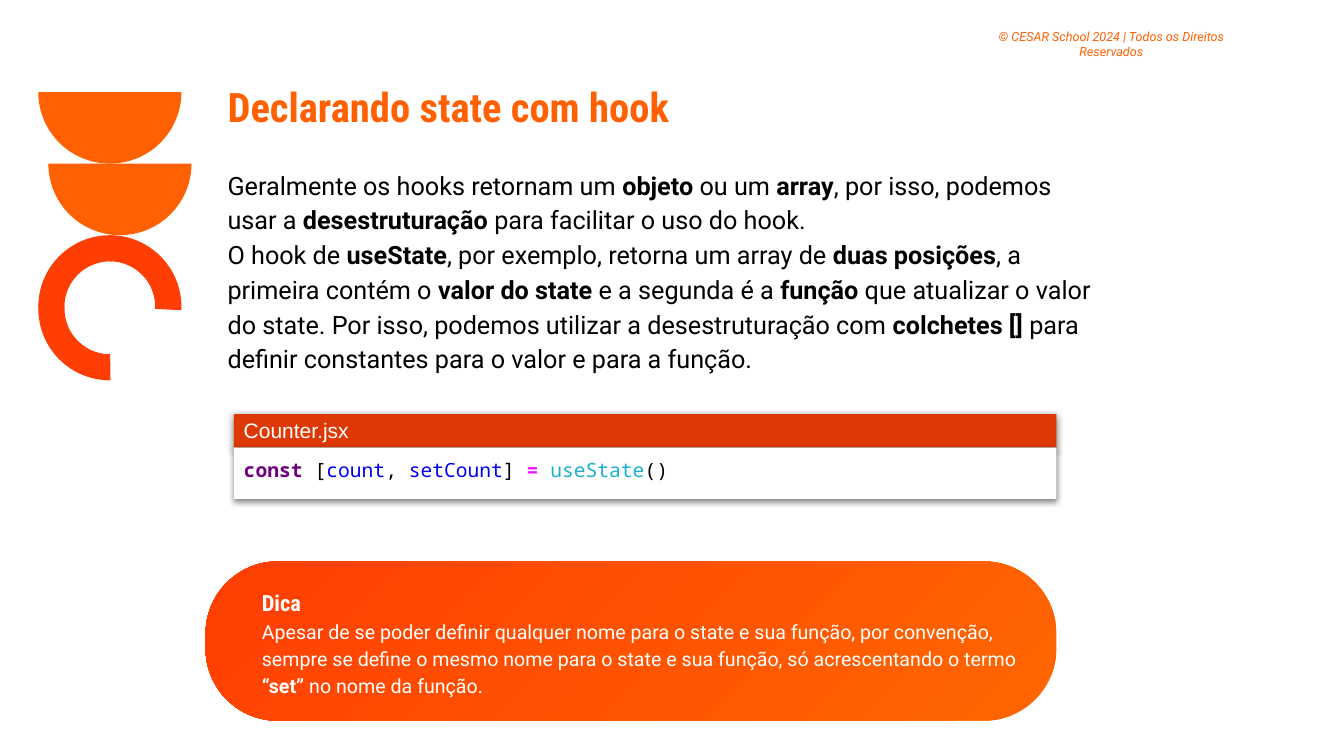
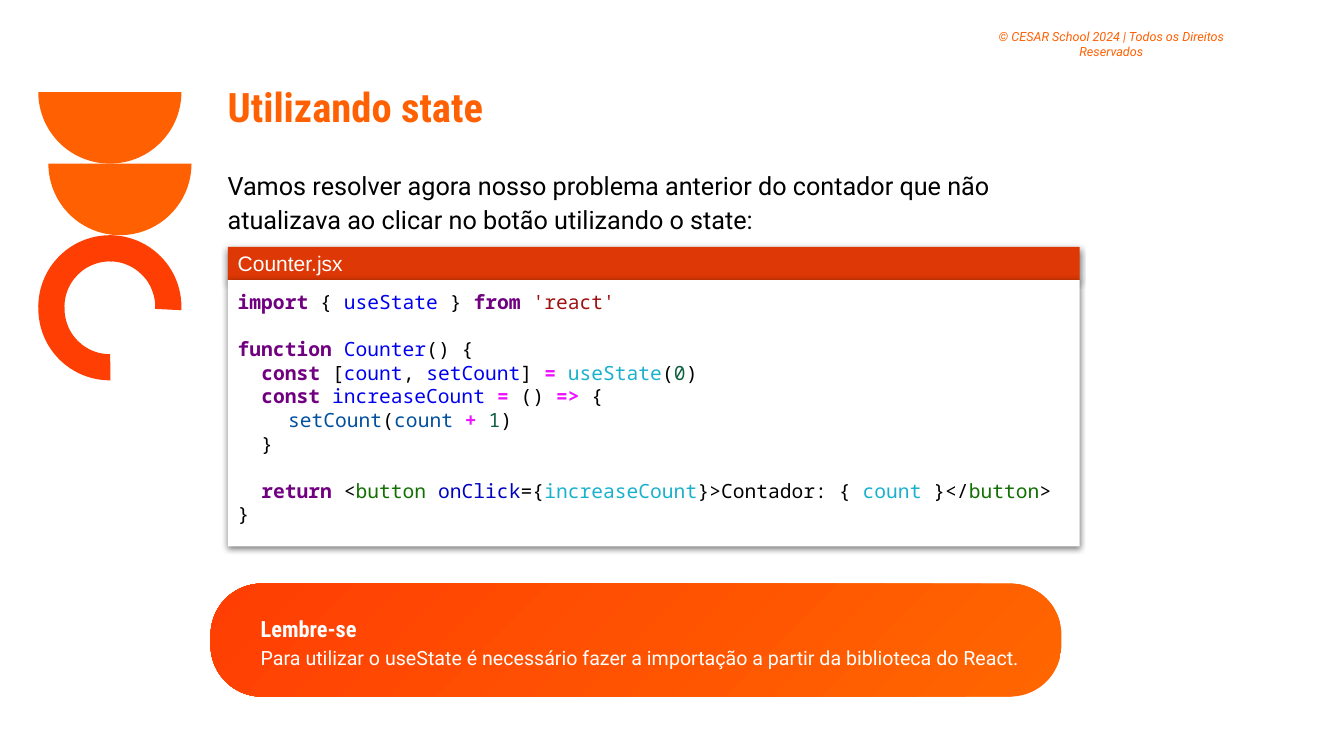
from collections import namedtuple
from dataclasses import dataclass
from math import cos, pi, sin

from lxml.etree import SubElement
from pptx import Presentation
from pptx.dml.color import RGBColor as Rgb
from pptx.enum.shapes import MSO_SHAPE as Kind
from pptx.enum.text import MSO_ANCHOR as Anchor, PP_ALIGN as Align
from pptx.oxml.ns import qn
from pptx.util import Emu, Inches, Pt

WIDTH, HEIGHT = Emu(12192000), Emu(6858000)
COLS = 80
CELL = WIDTH // COLS

Box = namedtuple("Box", "x y w h")


@dataclass(frozen=True)
class Theme:
    """Colours, fonts and type sizes of the deck."""
    orange: str = "FF6002"
    red: str = "FF3E03"
    glow: str = "FF6600"
    bar: str = "DD3805"
    white: str = "FFFFFF"
    black: str = "000000"
    head: str = "Roboto Condensed"
    text: str = "Roboto"
    label: str = "Arial"
    mono: str = "Noto Sans Mono"
    title: int = 29
    body: int = 18
    lead: int = 16
    file: int = 15
    small: int = 14
    legal: int = 9
    loose: float = 1.15
    blank: float = 16.8


T = Theme()

INK = {"key": "700080", "op": "EE11FF", "def": "0000F0", "use": "1AB1CD",
       "var": "0050A0", "num": "106040", "str": "A01010", "tag": "107000",
       "attr": "0000C0", "": T.black}
STRONG = ("key", "op")


def place(box):
    """Turn a box in grid cells into slide lengths."""
    return [Emu(round(v * CELL)) for v in box]


def paint(shape, tint):
    """Give a shape a plain fill with no line or shadow."""
    shape.shadow.inherit = False
    shape.line.fill.background()
    shape.fill.solid()
    shape.fill.fore_color.rgb = Rgb.from_string(tint)
    return shape


def shade(shape):
    """Drop a soft shadow below a shape."""
    list_ = shape._element.spPr.find(qn("a:effectLst"))
    drop = SubElement(list_, qn("a:outerShdw"), blurRad=str(Pt(4.5)),
                      dist=str(Pt(1.5)), dir="5400000", algn="bl", rotWithShape="0")
    ink = SubElement(drop, qn("a:srgbClr"), val=T.black)
    SubElement(ink, qn("a:alpha"), val="50000")


def frame(shape, side=0.1, rise=0.1, anchor=Anchor.TOP):
    """Set wrapping, insets and anchor, and return the text frame."""
    tf = shape.text_frame
    tf.word_wrap = True
    tf.vertical_anchor = anchor
    tf.margin_left = tf.margin_right = Inches(side)
    tf.margin_top = tf.margin_bottom = Inches(rise)
    return tf


def para(tf, first, align=Align.LEFT, space=1.0):
    """Return the first or a further paragraph of a frame."""
    p = tf.paragraphs[0] if first else tf.add_paragraph()
    p.alignment = align
    p.line_spacing = space
    return p


def write(p, text, face, size, tint, bold=False, slant=False):
    """Add one run to a paragraph."""
    run = p.add_run()
    run.text = text
    font = run.font
    font.name, font.size = face, Pt(size)
    font.bold, font.italic = bold, slant
    font.color.rgb = Rgb.from_string(tint)


def mix(p, text, size, tint):
    """Add runs, with the parts between asterisks in bold."""
    for i, part in enumerate(text.split("*")):
        if part:
            write(p, part, T.text, size, tint, bold=i % 2 == 1)


def dome(slide, x, y, size):
    """Draw a half disc with its flat side up."""
    r, steps = size / 2, 60
    dots = [(round((x + r + r * cos(pi * i / steps)) * CELL),
             round((y + r * sin(pi * i / steps)) * CELL)) for i in range(steps + 1)]
    path = slide.shapes.build_freeform(*dots[0])
    path.add_line_segments(dots[1:], close=True)
    paint(path.convert_to_shape(), T.orange)


def motif(slide, box):
    """Stack two half discs above an open ring."""
    size = box.h / 2
    dome(slide, box.x, box.y, size)
    dome(slide, box.x + box.w - size, box.y + size / 2, size)
    for turn, drop in ((270, 0), (0, 0), (180, 0.12)):
        spot = Box(box.x, box.y + size + drop, size, size)
        arc = paint(slide.shapes.add_shape(Kind.BLOCK_ARC, *place(spot)), T.red)
        for i, value in enumerate((161.776, 1.63, 0.183)):
            arc.adjustments[i] = value
        arc.rotation = turn


def legal(slide, box):
    """Write the copyright line."""
    tf = frame(slide.shapes.add_textbox(*place(box)), 0.07, 0.07)
    write(para(tf, True, Align.CENTER), "© CESAR School 2024 | Todos os Direitos Reservados",
          T.text, T.legal, T.orange, slant=True)


def title(slide, box, text):
    """Write the slide title."""
    tf = frame(slide.shapes.add_textbox(*place(box)))
    write(para(tf, True), text, T.head, T.title, T.orange, bold=True)


def prose(slide, box, parts):
    """Write the body paragraphs."""
    tf = frame(slide.shapes.add_textbox(*place(box)))
    for i, text in enumerate(parts):
        mix(para(tf, i == 0, space=T.loose), text, T.body, T.black)


def code(slide, box, name, lines):
    """Draw a file bar with a code panel under it."""
    bar_h = 1.98
    bar = Box(box.x, box.y, box.w, bar_h)
    pane = Box(box.x, box.y + bar_h, box.w, box.h - bar_h)
    top, page = [paint(slide.shapes.add_shape(Kind.RECTANGLE, *place(b)), tint)
                 for b, tint in ((bar, T.bar), (pane, T.white))]
    shade(top)
    shade(page)
    write(para(frame(top, rise=0), True, space=T.loose), name, T.label, T.file, T.white)
    tf = frame(page)
    for i, line in enumerate(lines):
        if not line:
            continue
        p = para(tf, i == 0)
        if i and not lines[i - 1]:
            p.space_before = Pt(T.blank)
        for kind, text in line:
            write(p, text, T.mono, T.small, INK[kind], bold=kind in STRONG)


def tip(slide, box, head, text):
    """Draw the rounded hint with a heading and a note."""
    pill = paint(slide.shapes.add_shape(Kind.ROUNDED_RECTANGLE, *place(box)), T.red)
    pill.adjustments[0] = 0.453
    pill.fill.gradient()
    pill.fill.gradient_angle = 135
    for stop, tint in zip(pill.fill.gradient_stops, (T.glow, T.red)):
        stop.color.rgb = Rgb.from_string(tint)
    tf = frame(pill, anchor=Anchor.MIDDLE)
    rows = [para(tf, first, space=T.loose) for first in (True, False)]
    for p in rows:
        p._p.get_or_add_pPr().set("marL", str(Inches(0.25)))
    write(rows[0], head, T.head, T.lead, T.white, bold=True)
    mix(rows[1], text, T.small, T.white)


def lesson(deck, name, parts, pane, lines, hint, head, note):
    """Build one lesson slide."""
    slide = deck.slides.add_slide(deck.slide_layouts[6])
    title(slide, Box(12.96, 4.26, 29, 4.26), name)
    legal(slide, Box(57.3, 1.32, 17.7, 2.04))
    motif(slide, Box(2.28, 5.48, 9.12, 17.04))
    prose(slide, Box(12.96, 9.24, 52.56, 6.72 * len(parts)), parts)
    code(slide, pane, "Counter.jsx", lines)
    tip(slide, hint, head, note)


PAIR = [("key", "const"), ("", " ["), ("def", "count"), ("", ", "),
        ("def", "setCount"), ("", "] "), ("op", "= "), ("use", "useState")]

HOOK = [PAIR + [("", "()")]]

COUNTER = [
    [("key", "import"), ("", " { "), ("def", "useState"), ("", " } "),
     ("key", "from "), ("str", "'react'")],
    [],
    [("key", "function "), ("def", "Counter"), ("", "() {")],
    [("", "  ")] + PAIR + [("", "("), ("num", "0"), ("", ")")],
    [("", "  "), ("key", "const "), ("def", "increaseCount "), ("op", "="),
     ("", " () "), ("op", "=>"), ("", " {")],
    [("", "\t"), ("var", "setCount"), ("", "("), ("var", "count "),
     ("op", "+ "), ("num", "1"), ("", ")")],
    [("", "  }")],
    [],
    [("", "  "), ("key", "return"), ("", " <"), ("tag", "button "),
     ("attr", "onClick"), ("", "={"), ("use", "increaseCount"),
     ("", "}>Contador: { "), ("use", "count"), ("", " }</"),
     ("tag", "button"), ("", ">")],
    [("", "}")],
]


def main():
    """Build and save the deck."""
    deck = Presentation()
    deck.slide_width, deck.slide_height = WIDTH, HEIGHT
    lesson(deck, "Declarando state com hook",
           ["Geralmente os hooks retornam um *objeto* ou um *array*, por isso, podemos "
            "usar a *desestruturação* para facilitar o uso do hook.",
            "O hook de *useState*, por exemplo, retorna um array de *duas posições*, a "
            "primeira contém o *valor do state* e a segunda é a *função* que atualizar o "
            "valor do state. Por isso, podemos utilizar a desestruturação com "
            "*colchetes []* para definir constantes para o valor e para a função."],
           Box(13.92, 24.66, 48.96, 5.04), HOOK,
           Box(12.24, 33.42, 50.64, 9.48), "Dica",
           "Apesar de se poder definir qualquer nome para o state e sua função, por "
           "convenção, sempre se define o mesmo nome para o state e sua função, só "
           "acrescentando o termo *“set” *no nome da função.")
    lesson(deck, "Utilizando state",
           ["Vamos resolver agora nosso problema anterior do contador que não "
            "atualizava ao clicar no botão utilizando o state:"],
           Box(13.56, 14.7, 50.7, 17.82), COUNTER,
           Box(12.54, 34.74, 50.64, 6.72), "Lembre-se",
           "Para utilizar o useState é necessário fazer a importação a partir da "
           "biblioteca do React.")
    deck.save("out.pptx")


if __name__ == "__main__":
    main()
